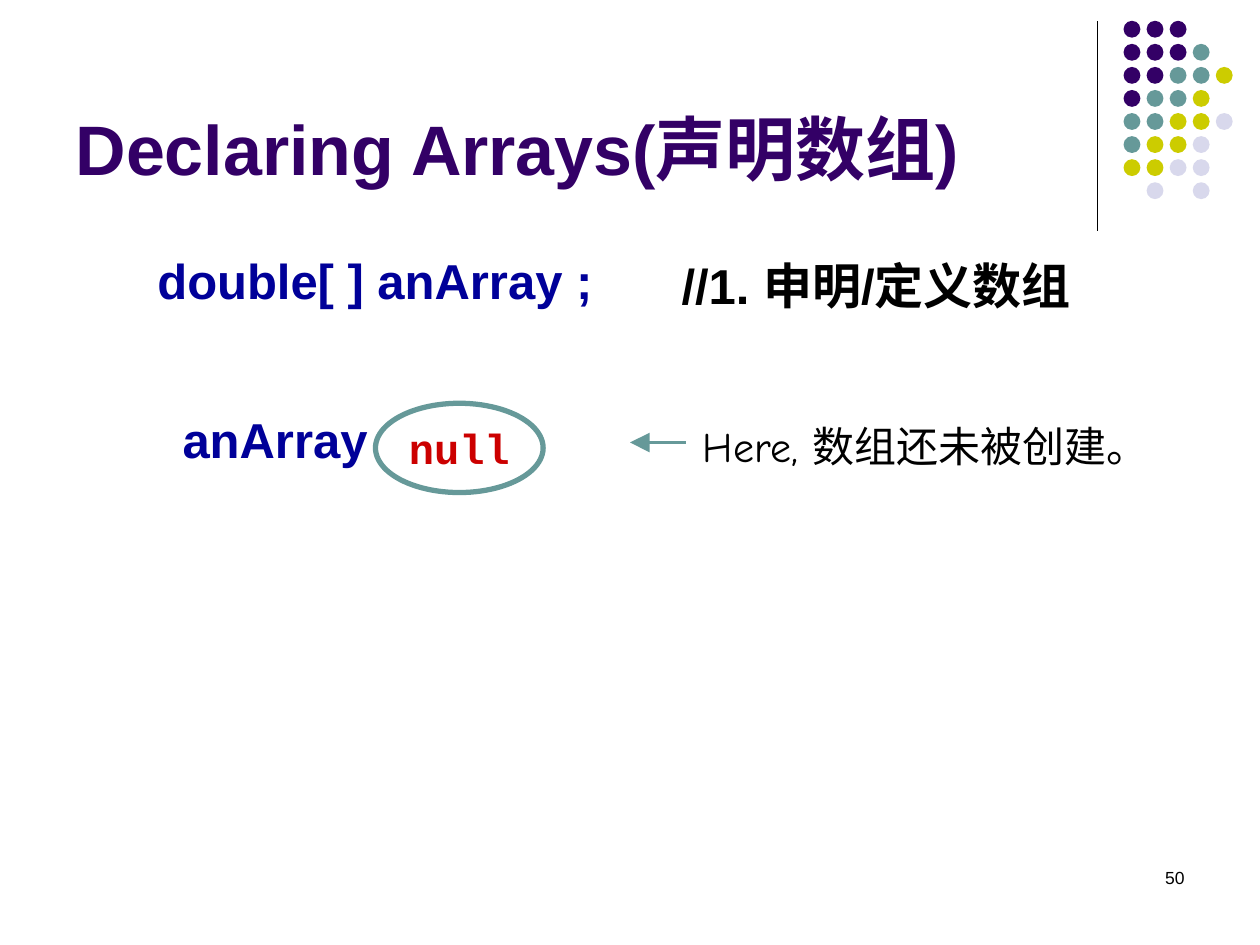
from dataclasses import dataclass

from lxml.etree import SubElement
from pptx import Presentation
from pptx.dml.color import RGBColor
from pptx.enum.shapes import MSO_CONNECTOR, MSO_SHAPE
from pptx.enum.text import MSO_ANCHOR, MSO_AUTO_SIZE as AutoSize, PP_ALIGN as Align
from pptx.oxml.ns import qn
from pptx.util import Cm, Pt


@dataclass(frozen=True)
class Theme:
    purple: str = "330066"
    teal: str = "669999"
    lime: str = "CCCC00"
    lavender: str = "D8D8EC"
    navy: str = "000099"
    red: str = "CC0000"
    black: str = "000000"
    title_size: int = 40
    code_size: int = 28
    note_size: int = 24
    number_size: int = 10


theme = Theme()


def write(shape, text, size, color, font="Arial", bold=False, align=Align.LEFT,
          anchor=MSO_ANCHOR.TOP, fit=AutoSize.NONE, wrap=True):
    """Fill a shape with one formatted paragraph and return the paragraph."""
    frame = shape.text_frame
    frame.text = text
    for name, value in {"word_wrap": wrap, "auto_size": fit,
                        "vertical_anchor": anchor}.items():
        setattr(frame, name, value)
    paragraph = frame.paragraphs[0]
    paragraph.alignment = align
    run_font = paragraph.runs[0].font
    for name, value in {"name": font, "size": Pt(size), "bold": bold}.items():
        setattr(run_font, name, value)
    run_font.color.rgb = RGBColor.from_string(color)
    return paragraph


def add_line(start, end, color, width):
    """Draw a straight line without shadow and return its line properties."""
    line = slide.shapes.add_connector(
        MSO_CONNECTOR.STRAIGHT, *map(Cm, start), *map(Cm, end))
    line.line.color.rgb = RGBColor.from_string(color)
    line.line.width = Pt(width)
    properties = line._element.spPr
    SubElement(properties, qn("a:effectLst"))
    return properties.find(qn("a:ln"))


deck = Presentation()
deck.slide_width, deck.slide_height = Cm(25.4), Cm(19.05)
slide = deck.slides.add_slide(deck.slide_layouts[1])

# Corner ornament: a vertical rule and a grid of dots
add_line((22.12, 0.43), (22.12, 4.65), theme.black, 0.75)
dot_colors = {"P": theme.purple, "T": theme.teal, "L": theme.lime, "V": theme.lavender}
dot_rows = ["PPP", "PPPT", "PPTTL", "PTTL", "TTLLV", "TLLV", "LLVV", " V V"]
dot_pitch, dot_size = 0.465, 0.34
for row, codes in enumerate(dot_rows):
    for column, code in enumerate(codes):
        if code not in dot_colors:
            continue
        dot = slide.shapes.add_shape(
            MSO_SHAPE.OVAL, Cm(22.65 + column * dot_pitch), Cm(0.42 + row * dot_pitch),
            Cm(dot_size), Cm(dot_size))
        dot.shadow.inherit = False
        dot.fill.solid()
        dot.fill.fore_color.rgb = RGBColor.from_string(dot_colors[code])
        dot.line.fill.background()

# Title and declaration
title, declaration = slide.shapes.title, slide.placeholders[1]
for placeholder, box in ((title, (1.27, 0.33, 20.96, 3.61)),
                         (declaration, (1.27, 4.93, 22.86, 12.12))):
    for name, value in zip(("left", "top", "width", "height"), box):
        setattr(placeholder, name, Cm(value))
write(title, "Declaring Arrays(声明数组)", theme.title_size, theme.purple,
      bold=True, anchor=MSO_ANCHOR.BOTTOM)
code_line = write(declaration, "double[ ] anArray ;", theme.code_size, theme.navy, bold=True)
code_format = code_line._p.get_or_add_pPr()
code_format.set("marL", str(Cm(1.65)))
code_format.set("indent", "0")
SubElement(code_format, qn("a:buNone"))

# Labels, comment and page number
code_style = {"size": theme.code_size, "bold": True, "fit": AutoSize.SHAPE_TO_FIT_TEXT}
labels = [
    ("50", (18.21, 17.35, 5.92, 1.27),
     {"size": theme.number_size, "color": theme.black, "align": Align.RIGHT}),
    ("anArray", (3.43, 8.13, 4.52, 1.45), {**code_style, "color": theme.navy}),
    ("Here, 数组还未被创建。", (13.92, 8.36, 9.83, 1.3),
     {"size": theme.note_size, "color": theme.black, "font": "Comic Neue",
      "fit": AutoSize.SHAPE_TO_FIT_TEXT}),
    ("//1. 申明/定义数组", (13.49, 5.03, 8.46, 1.45), {**code_style, "color": theme.black}),
]
for text, box, style in labels:
    write(slide.shapes.add_textbox(*map(Cm, box)), text, **style)

# The null reference and the arrow from its remark
reference = slide.shapes.add_shape(MSO_SHAPE.OVAL, Cm(7.57), Cm(8.13), Cm(3.38), Cm(1.8))
reference.shadow.inherit = False
reference.fill.background()
reference.line.color.rgb = RGBColor.from_string(theme.teal)
reference.line.width = Pt(3)
write(reference, "null", theme.note_size, theme.red, font="Courier New", bold=True,
      align=Align.CENTER, anchor=MSO_ANCHOR.MIDDLE, wrap=False)
arrow = add_line((13.82, 8.92), (12.7, 8.92), theme.teal, 2.25)
SubElement(arrow, qn("a:tailEnd"), type="triangle", w="lg", len="lg")

deck.save("out.pptx")
